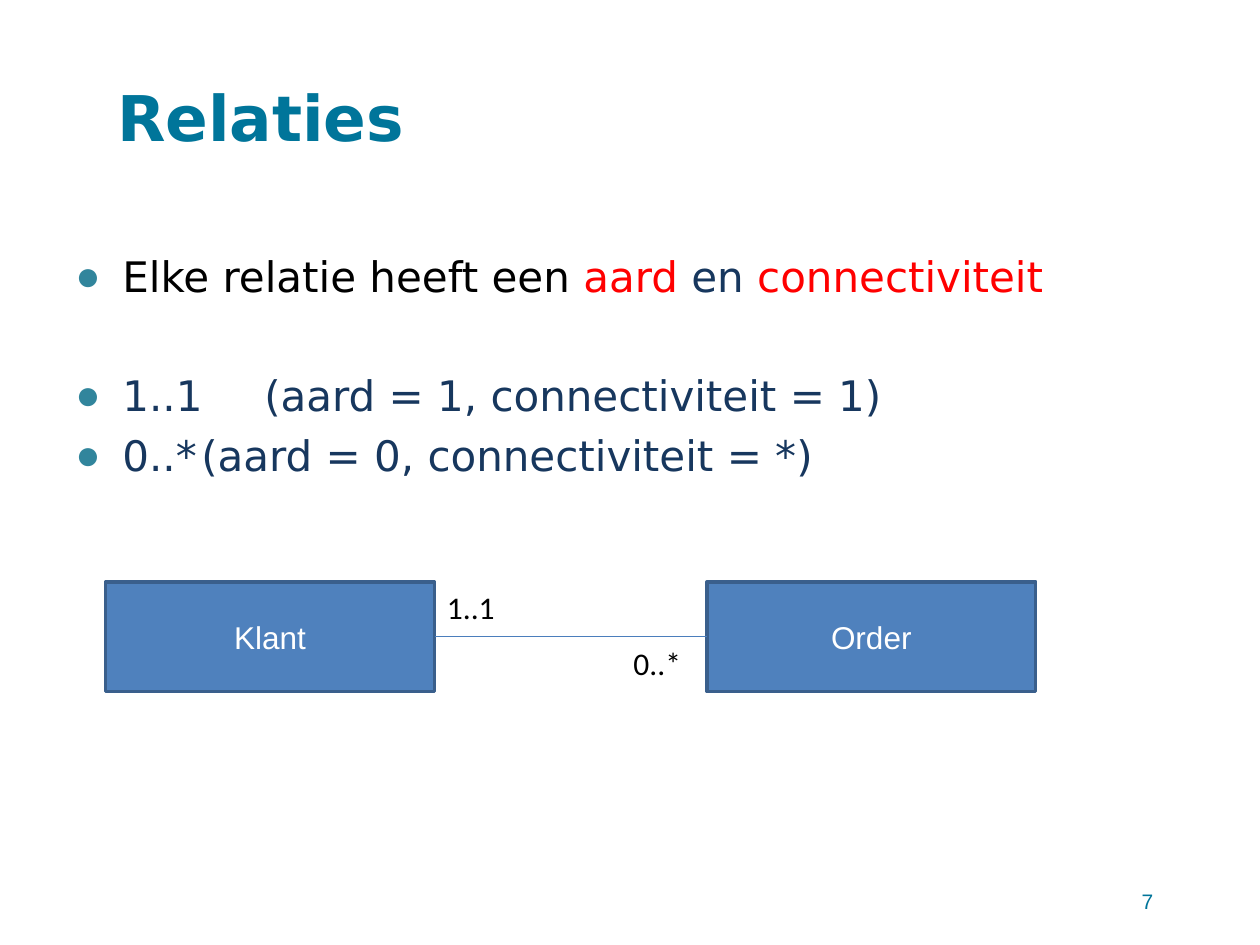
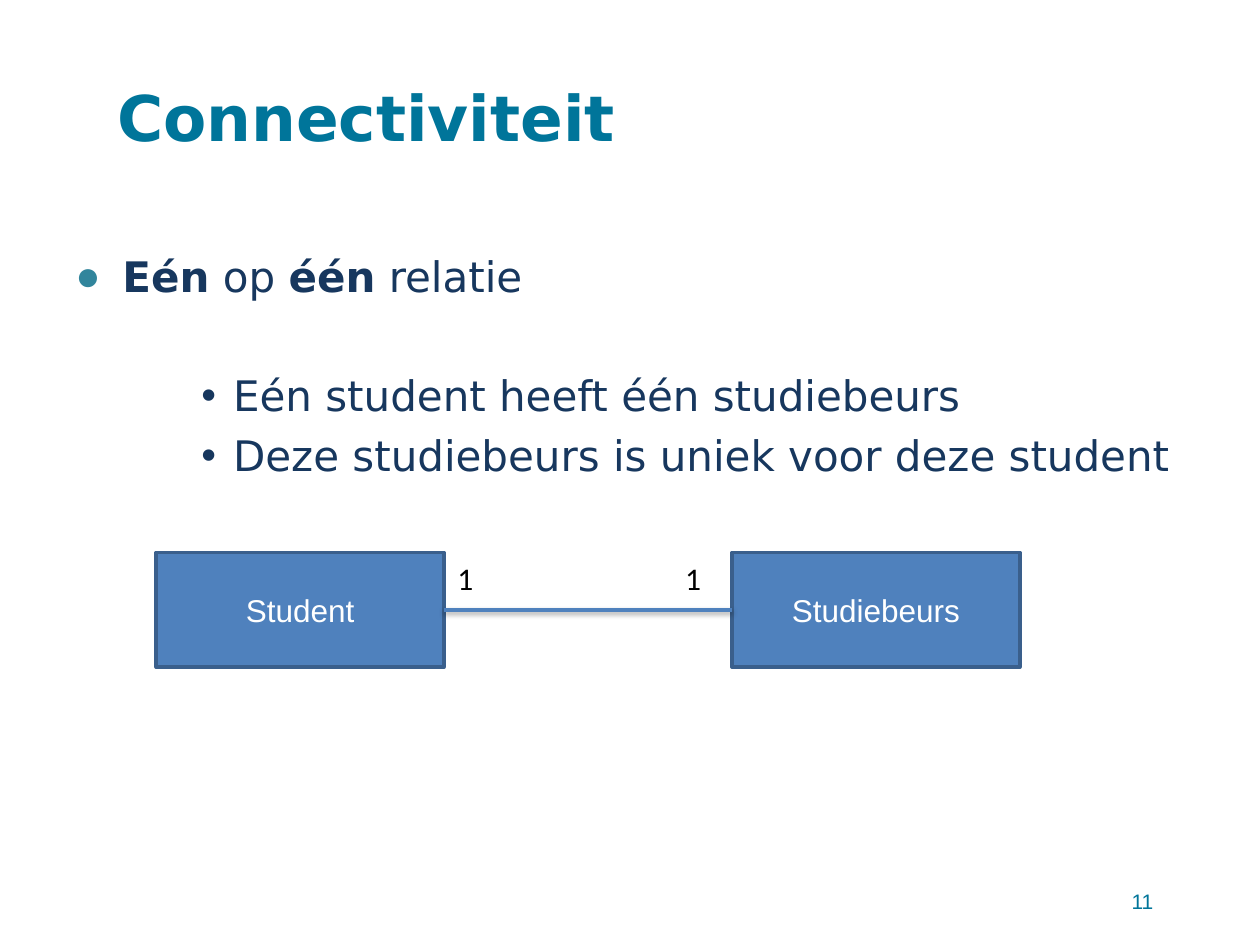
"""Two slides on the nature and connectivity of relations in a data model."""
import lxml.etree
import pptx
import pptx.dml.color
import pptx.enum.shapes
import pptx.enum.text
import pptx.oxml.ns
import pptx.util

Cm, Pt, qn = pptx.util.Cm, pptx.util.Pt, pptx.oxml.ns.qn
ALIGN = pptx.enum.text.PP_ALIGN
ANCHOR = pptx.enum.text.MSO_ANCHOR
COLORS = {
    "teal": "00759A", "bullet": "31859C", "navy": "17375E", "red": "FF0000",
    "black": "000000", "white": "FFFFFF", "entity": "4F81BD",
    "border": "3A5F8C", "thin": "4B7EBC",
}
HEADING_FONT = "DejaVu Sans"
BULLETS = {0: ("●", 0.95, 0.95), 2: ("•", 3.18, 0.64)}
LINE_GAP, SECTION_GAP = 5.6, 39.2

SLIDES = [
    {
        "title": "Relaties", "number": "7", "body_width": 24.13,
        "points": [
            (0, 0, [("Elke relatie heeft een ", "black", False), ("aard", "red", False),
                    (" en ", "navy", False), ("connectiviteit", "red", False)]),
            (0, SECTION_GAP, [("1..1\t(aard = 1, connectiviteit = 1)", "navy", False)]),
            (0, LINE_GAP, [("0..*\t(aard = 0, connectiviteit = *)", "navy", False)]),
        ],
        "entities": [("Klant", 2.13), ("Order", 14.25)],
        "entity_box": (11.73, 6.63, 2.21),
        "relation": ("thin", 0.75, False),
        "multiplicities": [("1..1", 8.76, 11.73, 1.73), ("0..*", 12.52, 12.85, 2.01)],
    },
    {
        "title": "Connectiviteit", "number": "11", "body_width": 22.86,
        "points": [
            (0, 0, [("Eén", "navy", True), (" op ", "navy", False),
                    ("één", "navy", True), (" relatie", "navy", False)]),
            (2, SECTION_GAP, [("Eén student heeft één studiebeurs", "navy", False)]),
            (2, LINE_GAP, [("Deze studiebeurs is uniek voor deze student", "navy", False)]),
        ],
        "entities": [("Student", 3.15), ("Studiebeurs", 14.76)],
        "entity_box": (11.14, 5.8, 2.31),
        "relation": ("entity", 2, True),
        "multiplicities": [("1", 8.97, 11.15, 1.42), ("1", 13.56, 11.15, 1.19)],
    },
]


def add_run(paragraph, text, font, size, color, bold=False):
    """Append one formatted run to a paragraph."""
    run = paragraph.add_run()
    run.text = text
    run.font.name, run.font.size, run.font.bold = font, Pt(size), bold
    run.font.color.rgb = pptx.dml.color.RGBColor.from_string(COLORS[color])


def add_frame(slide, left, top, width, height, anchor=ANCHOR.TOP):
    """Add a wrapping text box, given in centimetres, and return its text frame."""
    frame = slide.shapes.add_textbox(Cm(left), Cm(top), Cm(width), Cm(height)).text_frame
    frame.word_wrap = True
    frame.vertical_anchor = anchor
    return frame


deck = pptx.Presentation()
deck.slide_width, deck.slide_height = Cm(25.4), Cm(19.05)

for content in SLIDES:
    slide = deck.slides.add_slide(deck.slide_layouts[6])

    title = add_frame(slide, 2.11, 0.76, 22.02, 3.18, ANCHOR.MIDDLE)
    add_run(title.paragraphs[0], content["title"], HEADING_FONT, 36, "teal", True)

    body = add_frame(slide, 1.27, 4.93, content["body_width"], 11)
    for index, (level, gap, pieces) in enumerate(content["points"]):
        point = body.add_paragraph() if index else body.paragraphs[0]
        point.level = level
        point.space_before = Pt(gap)
        mark, margin, hanging = BULLETS[level]
        properties = point._p.get_or_add_pPr()
        properties.set("marL", str(Cm(margin)))
        properties.set("indent", str(-Cm(hanging)))
        bullet_color = lxml.etree.SubElement(properties, qn("a:buClr"))
        lxml.etree.SubElement(bullet_color, qn("a:srgbClr"),
                              val=COLORS["navy" if level else "bullet"])
        lxml.etree.SubElement(properties, qn("a:buFont"), typeface="Arial")
        lxml.etree.SubElement(properties, qn("a:buChar"), char=mark)
        for text, color, bold in pieces:
            add_run(point, text, HEADING_FONT, 24, color, bold)

    page = add_frame(slide, 17.58, 17.65, 5.92, 1.02, ANCHOR.MIDDLE).paragraphs[0]
    page.alignment = ALIGN.RIGHT
    add_run(page, content["number"], "Arial", 12, "teal")

    top, width, height = content["entity_box"]
    entities = []
    for name, left in content["entities"]:
        entity = slide.shapes.add_shape(pptx.enum.shapes.MSO_SHAPE.RECTANGLE,
                                        Cm(left), Cm(top), Cm(width), Cm(height))
        entity.shadow.inherit = False
        entity.fill.solid()
        entity.fill.fore_color.rgb = pptx.dml.color.RGBColor.from_string(COLORS["entity"])
        entity.line.color.rgb = pptx.dml.color.RGBColor.from_string(COLORS["border"])
        entity.line.width = Pt(2)
        entity.text_frame.vertical_anchor = ANCHOR.MIDDLE
        label = entity.text_frame.paragraphs[0]
        label.alignment = ALIGN.CENTER
        add_run(label, name, "Arial", 18, "white")
        entities.append(entity)

    color, weight, shadowed = content["relation"]
    relation = slide.shapes.add_connector(pptx.enum.shapes.MSO_CONNECTOR.STRAIGHT, 0, 0, 0, 0)
    relation.begin_connect(entities[0], 3)
    relation.end_connect(entities[1], 1)
    relation.line.color.rgb = pptx.dml.color.RGBColor.from_string(COLORS[color])
    relation.line.width = Pt(weight)
    effects = lxml.etree.SubElement(relation._element.spPr, qn("a:effectLst"))
    if shadowed:
        shadow = lxml.etree.SubElement(effects, qn("a:outerShdw"), blurRad=str(Pt(3.1)),
                                       dist=str(Pt(1.6)), dir="5400000", rotWithShape="0")
        shade = lxml.etree.SubElement(shadow, qn("a:srgbClr"), val=COLORS["black"])
        lxml.etree.SubElement(shade, qn("a:alpha"), val="38000")

    for text, left, label_top, label_width in content["multiplicities"]:
        multiplicity = add_frame(slide, left, label_top, label_width, 1.02)
        add_run(multiplicity.paragraphs[0], text, "Calibri", 18, "black")

deck.save("out.pptx")
